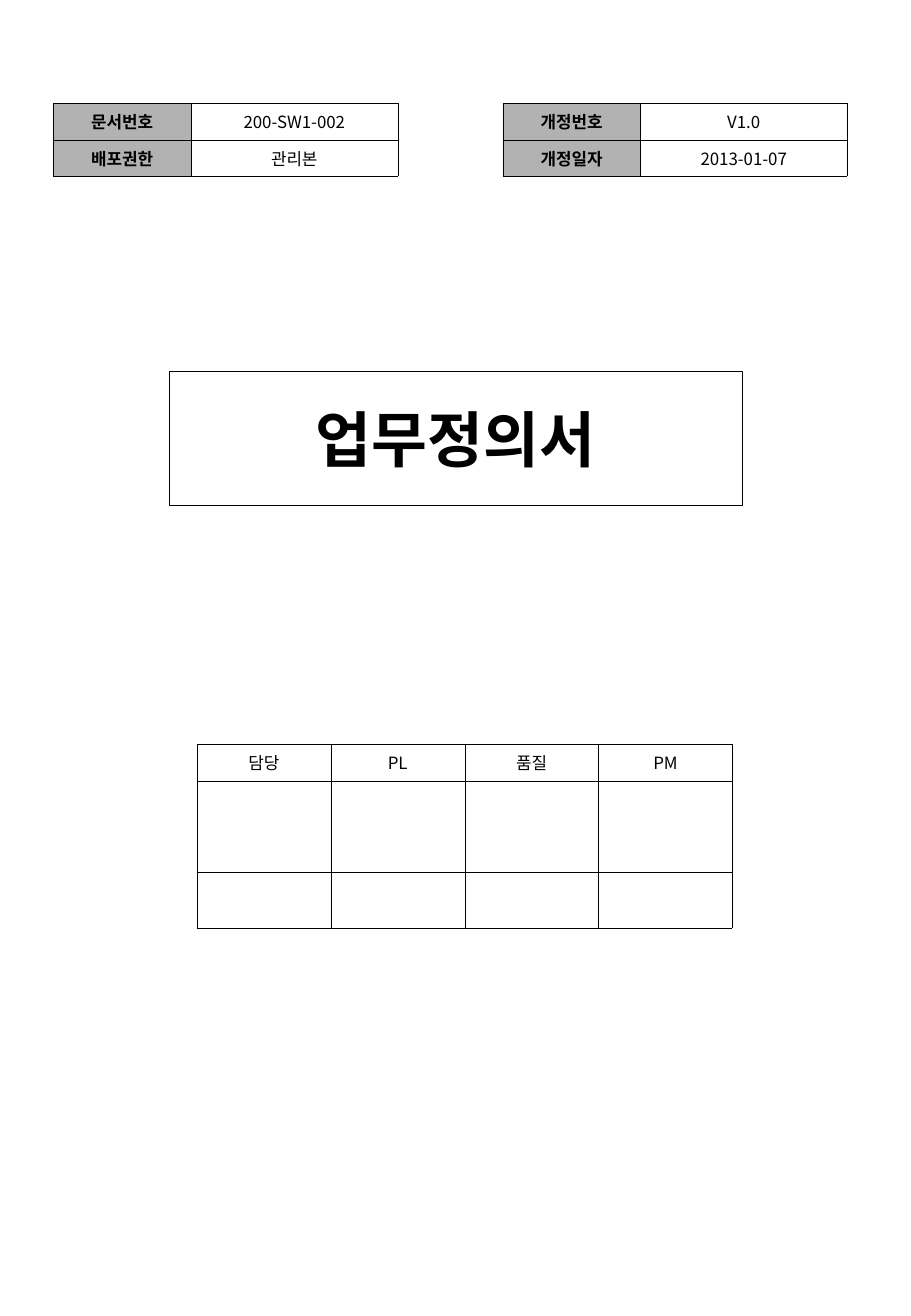
from pptx import Presentation
from pptx.dml.color import RGBColor
from pptx.enum.shapes import MSO_SHAPE
from pptx.enum.text import MSO_ANCHOR as Anchor, PP_ALIGN as Align
from pptx.oxml import parse_xml
from pptx.oxml.ns import nsdecls
from pptx.oxml.xmlchemy import OxmlElement
from pptx.text.text import Font
from pptx.util import Inches, Pt

THEME = {
    "font": "Noto Sans CJK KR",
    "ink": RGBColor(0x00, 0x00, 0x00),
    "paper": RGBColor(0xFF, 0xFF, 0xFF),
    "label": RGBColor(0xB2, 0xB2, 0xB2),
    "title_size": Pt(36),
    "cell_size": Pt(10),
    "blank_size": Pt(18),
    "title_line": Pt(0.25),
    "cell_line": Pt(0.11),
}

presentation = Presentation()
presentation.slide_width = Inches(7.5)
presentation.slide_height = Inches(10.84)
slide = presentation.slides.add_slide(presentation.slide_layouts[6])

# The page is a fine grid of 750 columns by 1084 rows.
COLUMN = presentation.slide_width / 750
ROW = presentation.slide_height / 1084


def write(text_frame, text, size, bold):
    """Centre the text; an empty text only sets the size of the blank line."""
    text_frame.vertical_anchor = Anchor.MIDDLE
    paragraph = text_frame.paragraphs[0]
    paragraph.alignment = Align.CENTER
    if text:
        run = paragraph.add_run()
        run.text = text
        properties = run._r.get_or_add_rPr()
    else:
        properties = OxmlElement("a:endParaRPr")
        paragraph._p.append(properties)
    font = Font(properties)
    for name, value in {"size": size, "bold": bold, "name": THEME["font"]}.items():
        setattr(font, name, value)
    font.color.rgb = THEME["ink"]
    east_asian = OxmlElement("a:ea")
    east_asian.set("typeface", THEME["font"])
    properties.append(east_asian)


def add_grid_table(left, top, columns, rows, texts, has_labels):
    """Add a ruled table; has_labels makes the first column grey and bold."""
    frame = slide.shapes.add_table(
        len(rows), len(columns), round(left * COLUMN), round(top * ROW),
        round(sum(columns) * COLUMN), round(sum(rows) * ROW))
    table = frame.table
    table.first_row = table.horz_banding = False
    for column, width in zip(table.columns, columns):
        column.width = round(width * COLUMN)
    for row, height in zip(table.rows, rows):
        row.height = round(height * ROW)
    for row_index, row_texts in enumerate(texts):
        for column_index, text in enumerate(row_texts):
            cell = table.cell(row_index, column_index)
            is_label = has_labels and column_index == 0
            size = THEME["cell_size"] if text else THEME["blank_size"]
            write(cell.text_frame, text, size, is_label)
            cell.vertical_anchor = Anchor.MIDDLE
            properties = cell._tc.get_or_add_tcPr()
            for side in ("lnL", "lnR", "lnT", "lnB"):
                properties.append(parse_xml(
                    f'<a:{side} {nsdecls("a")} w="{THEME["cell_line"]}"><a:solidFill>'
                    f'<a:srgbClr val="{THEME["ink"]}"/></a:solidFill></a:{side}>'))
            if is_label:
                cell.fill.solid()
                cell.fill.fore_color.rgb = THEME["label"]
            else:
                cell.fill.background()


approval_texts = [["담당", "PL", "품질", "PM"], [""] * 4, [""] * 4]
add_grid_table(162, 613, [110.25] * 4, [27, 75, 27], approval_texts, False)

title = slide.shapes.add_shape(
    MSO_SHAPE.RECTANGLE, round(139 * COLUMN), round(306 * ROW),
    round(472 * COLUMN), round(110 * ROW))
title.shadow.inherit = False
title.fill.solid()
title.fill.fore_color.rgb = THEME["paper"]
title.line.color.rgb = THEME["ink"]
title.line.width = THEME["title_line"]
write(title.text_frame, "업무정의서", THEME["title_size"], True)

document_tables = [
    (44, [["문서번호", "200-SW1-002"], ["배포권한", "관리본"]]),
    (414, [["개정번호", "V1.0"], ["개정일자", "2013-01-07"]]),
]
for left, texts in document_tables:
    add_grid_table(left, 85, [113, 170.5], [26.5] * 2, texts, True)

presentation.save("out.pptx")
